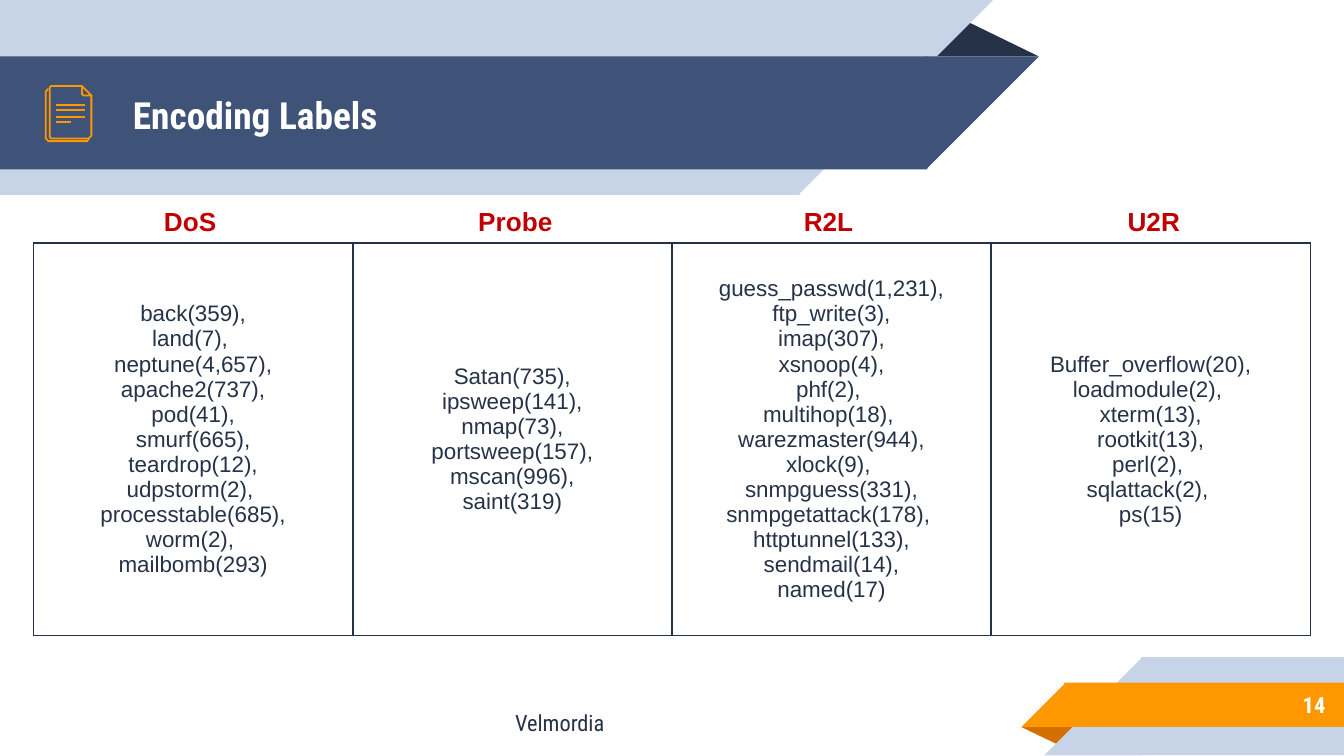
from lxml import etree
from pptx import Presentation
from pptx import util as u
from pptx.dml.color import RGBColor
from pptx.enum import shapes as kinds, text as txt
from pptx.oxml import ns

HUES = {"pale": "C7D3E6", "navy": "3F5378", "dark": "263248", "gold": "FF9800",
        "rust": "D26F00", "red": "C00000", "white": "FFFFFF"}
HEAD = "Roboto Condensed"
BODY = "Arial"
KIND = kinds.MSO_SHAPE
ALIGN = txt.PP_ALIGN
MID = txt.MSO_ANCHOR.MIDDLE
LAP = 0.01

LABELS = {
    "DoS": (0.83, ["back(359),", "land(7), ", "neptune(4,657),", "apache2(737),",
                   "pod(41),", "smurf(665),", "teardrop(12),", "udpstorm(2), ",
                   "processtable(685),", "worm(2), ", "mailbomb(293)"]),
    "Probe": (3.25, ["Satan(735),", "ipsweep(141),", "nmap(73),", "portsweep(157),",
                     "mscan(996),", "saint(319)"]),
    "R2L": (5.58, ["guess_passwd(1,231),", "ftp_write(3),", "imap(307),", "xsnoop(4),",
                   "phf(2), ", "multihop(18), ", "warezmaster(944),", "xlock(9), ",
                   "snmpguess(331),", "snmpgetattack(178), ", "httptunnel(133),",
                   "sendmail(14),", "named(17)"]),
    "U2R": (8, ["Buffer_overflow(20), loadmodule(2), ", "xterm(13),", "rootkit(13),",
                "perl(2), ", "sqlattack(2), ", "ps(15)"]),
}


def tint(name):
    return RGBColor.from_string(HUES[name])


def block(slide, kind, box, hue, turn=0):
    part = slide.shapes.add_shape(kind, *map(u.Inches, box))
    part.shadow.inherit = False
    part.fill.solid()
    part.fill.fore_color.rgb = tint(hue)
    part.line.fill.background()
    part.rotation = turn
    return part


def write(para, words, size, font, hue, bold=False, align=ALIGN.CENTER):
    para.alignment = align
    run = para.add_run()
    run.text = words
    run.font.size = u.Pt(size)
    run.font.name = font
    run.font.bold = bold
    run.font.color.rgb = tint(hue)


def label(slide, box, words, size, font, hue, bold=True, align=ALIGN.CENTER, anchor=None):
    frame = slide.shapes.add_textbox(*map(u.Inches, box)).text_frame
    frame.word_wrap = True
    if anchor is not None:
        frame.vertical_anchor = anchor
        frame.margin_top = frame.margin_bottom = u.Inches(0.1)
    write(frame.paragraphs[0], words, size, font, hue, bold, align)


def stroke(line):
    line.color.rgb = tint("gold")
    line.width = u.Pt(0.96)


def outline(slide, left, top, points, close=False):
    spots = [(u.Inches(left + x), u.Inches(top + y)) for x, y in points]
    pen = slide.shapes.build_freeform(*spots[0])
    pen.add_line_segments(spots[1:], close=close)
    part = pen.convert_to_shape()
    part.shadow.inherit = False
    part.fill.background()
    stroke(part.line)


def icon(slide, left, top):
    outline(slide, left, top, [(0.32, 0.39), (0.31, 0.41), (0.3, 0.41), (0.02, 0.41),
                               (0.01, 0.4), (0, 0.39), (0, 0.04), (0.01, 0.03), (0.02, 0.02)])
    outline(slide, left, top, [(0.34, 0.07), (0.34, 0.37), (0.33, 0.38), (0.32, 0.39),
                               (0.04, 0.39), (0.03, 0.38), (0.03, 0.01), (0.04, 0), (0.27, 0)])
    for y, wide in ((0.27, 0.11), (0.23, 0.21), (0.18, 0.21), (0.14, 0.21)):
        rule = slide.shapes.add_connector(
            kinds.MSO_CONNECTOR.STRAIGHT, u.Inches(left + 0.08), u.Inches(top + y),
            u.Inches(left + 0.08 + wide), u.Inches(top + y))
        stroke(rule.line)
        etree.SubElement(rule._element.spPr, ns.qn("a:effectLst"))
    outline(slide, left, top, [(0.27, 0), (0.34, 0.07), (0.29, 0.07), (0.28, 0.07),
                               (0.27, 0.06)], True)


def header(slide, left, top):
    fold = block(slide, KIND.ISOSCELES_TRIANGLE, (left + 6.88, top + 0.14, 0.85, 0.28), "dark")
    fold.adjustments[0] = 0.324
    for y, wide, high, hue in ((0, 5.94, 1.45, "pale"), (0.42, 6.89, 0.84, "navy")):
        block(slide, KIND.RECTANGLE, (left, top + y, wide + LAP, high), hue)
        block(slide, KIND.RIGHT_TRIANGLE, (left + wide, top + y, high, high), hue, 90)
    label(slide, (left + 0.89, top + 0.43, 5.75, 0.84), "Encoding Labels", 20, HEAD,
          "white", align=ALIGN.LEFT, anchor=MID)
    icon(slide, left + 0.34, top + 0.64)


def footer(slide, left, top):
    fold = block(slide, KIND.ISOSCELES_TRIANGLE, (left + 4.35, top + 0.52, 0.43, 0.14),
                 "rust", 180)
    fold.adjustments[0] = 0.324
    for x, y, wide, high, hue in ((5.25, 0, 1.5, 0.73, "pale"), (4.68, 0.19, 2.07, 0.33, "gold")):
        block(slide, KIND.RECTANGLE, (left + x - LAP, top + y, wide + LAP, high), hue)
        block(slide, KIND.RIGHT_TRIANGLE, (left + x - high, top + y, high, high), hue, 270)
    label(slide, (left + 5.08, top + 0.18, 1.63, 0.35), "14", 12, HEAD, "white",
          align=ALIGN.RIGHT, anchor=MID)
    label(slide, (left, top + 0.34, 1.83, 0.3), "Velmordia", 12, HEAD, "dark", False)


def border(cell):
    props = cell._tc.get_or_add_tcPr()
    for at, side in enumerate(("a:lnL", "a:lnR", "a:lnT", "a:lnB")):
        edge = etree.Element(ns.qn(side), w=str(u.Pt(1)))
        fill = etree.SubElement(edge, ns.qn("a:solidFill"))
        etree.SubElement(fill, ns.qn("a:srgbClr"), val=HUES["dark"])
        props.insert(at, edge)


def grid(slide, left, top, wide, high):
    box = map(u.Inches, (left, top, wide, high))
    table = slide.shapes.add_table(1, len(LABELS), *box).table
    table.first_row = table.horz_banding = False
    for cell, (name, (x, lines)) in zip(table.rows[0].cells, LABELS.items()):
        cell.fill.background()
        cell.vertical_anchor = MID
        border(cell)
        frame = cell.text_frame
        for at, words in enumerate(lines):
            para = frame.add_paragraph() if at else frame.paragraphs[0]
            write(para, words, 12, BODY, "dark")
        label(slide, (x, top - 0.33, 1.17, 0.34), name, 14, BODY, "red")


def main():
    deck = Presentation()
    deck.slide_width = u.Inches(10)
    deck.slide_height = u.Inches(10 * 9 / 16)
    slide = deck.slides.add_slide(deck.slide_layouts[6])
    header(slide, 0, 0)
    footer(slide, 3.25, 4.89)
    grid(slide, 0.25, 1.81, 9.5, 2.92)
    deck.save("out.pptx")


if __name__ == "__main__":
    main()
